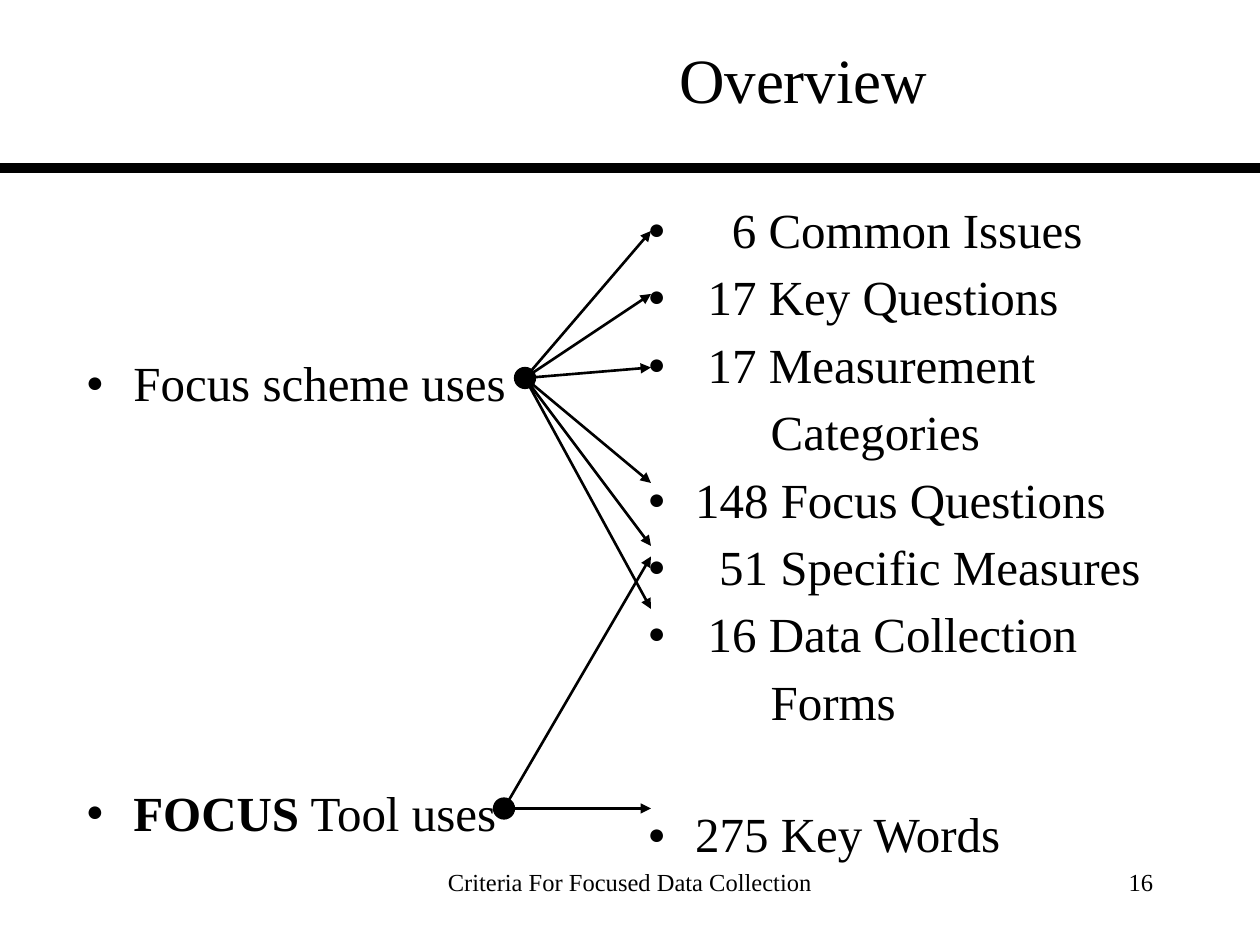
from dataclasses import dataclass
from lxml import etree
from pptx import Presentation
from pptx.dml.color import RGBColor
from pptx.enum.shapes import MSO_CONNECTOR, MSO_SHAPE
from pptx.enum.text import MSO_ANCHOR, MSO_AUTO_SIZE, PP_ALIGN
from pptx.oxml.ns import qn
from pptx.util import Pt

LINE = MSO_CONNECTOR.STRAIGHT
OVAL = MSO_SHAPE.OVAL
TOP, MID = MSO_ANCHOR.TOP, MSO_ANCHOR.MIDDLE
LEFT, RIGHT, MIDDLE = PP_ALIGN.LEFT, PP_ALIGN.RIGHT, PP_ALIGN.CENTER
NOFIT = MSO_AUTO_SIZE.NONE
PX = 7620


@dataclass
class Theme:
    ink: RGBColor = RGBColor(0, 0, 0)
    paper: RGBColor = RGBColor(255, 255, 255)
    face: str = "Times New Roman"
    head: int = 36
    body: int = 28
    foot: int = 14


theme = Theme()


def write(para, runs, size, align=LEFT, indent=0, hang=0, dot=False):
    props = para._p.get_or_add_pPr()
    props.set("marL", str(indent * PX))
    props.set("indent", str(-hang * PX))
    if dot:
        color = etree.SubElement(props, qn("a:buClr"))
        etree.SubElement(color, qn("a:srgbClr"), val=str(theme.ink))
        etree.SubElement(props, qn("a:buSzPct"), val="60000")
        etree.SubElement(props, qn("a:buFont"), typeface=theme.face)
        etree.SubElement(props, qn("a:buChar"), char="●")
    else:
        etree.SubElement(props, qn("a:buNone"))
    para.alignment = align
    para.space_before = Pt(0)
    for text, bold in runs:
        run = para.add_run()
        run.text = text
        run.font.name = theme.face
        run.font.size = Pt(size)
        run.font.bold = bold
        run.font.color.rgb = theme.ink


def link(x1, y1, x2, y2, width, arrow=True):
    line = slide.shapes.add_connector(LINE, x1 * PX, y1 * PX, x2 * PX, y2 * PX)
    line.line.color.rgb = theme.ink
    line.line.width = Pt(width)
    if arrow:
        etree.SubElement(line.line._get_or_add_ln(), qn("a:tailEnd"), type="triangle")
    etree.SubElement(line._element.spPr, qn("a:effectLst"))


deck = Presentation()
deck.slide_width, deck.slide_height = 1200 * PX, 900 * PX
slide = deck.slides.add_slide(deck.slide_layouts[3])
slide.background.fill.solid()
slide.background.fill.fore_color.rgb = theme.paper

link(0, 160, 1200, 160, 6, False)

title, uses, counts = slide.placeholders
for holder, (x, y, w, h), anchor in (
    (title, (330, 0, 870, 150), MID),
    (uses, (70, 190, 515, 620), TOP),
    (counts, (605, 190, 515, 620), TOP),
):
    holder.left, holder.top = x * PX, y * PX
    holder.width, holder.height = w * PX, h * PX
    frame = holder.text_frame
    frame.word_wrap = True
    frame.auto_size = NOFIT
    frame.vertical_anchor = anchor

write(title.text_frame.paragraphs[0], [("Overview", False)], theme.head, MIDDLE)

frame = uses.text_frame
frame.margin_top = 146 * PX
para = frame.paragraphs[0]
write(para, [("Focus scheme uses", False)], theme.body, indent=45, hang=45, dot=True)
para = frame.add_paragraph()
write(para, [("FOCUS", True), (" Tool uses", False)], theme.body, indent=45, hang=45, dot=True)
para.space_before = Pt(212)

items = [
    ("6 Common Issues", 80, True, 0),
    ("17 Key Questions", 57, True, 8.3),
    ("17 Measurement", 57, True, 8.3),
    ("Categories", 117, False, 8.3),
    ("148 Focus Questions", 45, True, 8.3),
    ("51 Specific Measures", 68, True, 8.3),
    ("16 Data Collection", 57, True, 8.3),
    ("Forms", 117, False, 8.3),
    ("275 Key Words", 45, True, 45.5),
]
frame = counts.text_frame
for i, (text, indent, dot, gap) in enumerate(items):
    para = frame.add_paragraph() if i else frame.paragraphs[0]
    write(para, [(text, False)], theme.body, indent=indent, hang=indent if dot else 0, dot=dot)
    para.line_spacing = 0.9
    para.space_before = Pt(gap)

hubs = [
    (500, 360, (220, 280, 350, 460, 520, 580)),
    (480, 770, (770, 530)),
]
for x, y, ends in hubs:
    for end in ends:
        link(x, y, 620, end, 1.5)
for x, y, ends in hubs:
    hub = slide.shapes.add_shape(OVAL, (x - 10) * PX, (y - 10) * PX, 20 * PX, 20 * PX)
    hub.shadow.inherit = False
    hub.fill.solid()
    hub.fill.fore_color.rgb = theme.ink
    hub.line.color.rgb = theme.ink
    hub.line.width = Pt(0.75)

for text, x, w, align in (
    ("Criteria For Focused Data Collection", 410, 380, MIDDLE),
    ("16", 860, 250, RIGHT),
):
    box = slide.shapes.add_textbox(x * PX, 820 * PX, w * PX, 60 * PX)
    box.text_frame.word_wrap = True
    write(box.text_frame.paragraphs[0], [(text, False)], theme.foot, align)

deck.save("out.pptx")
